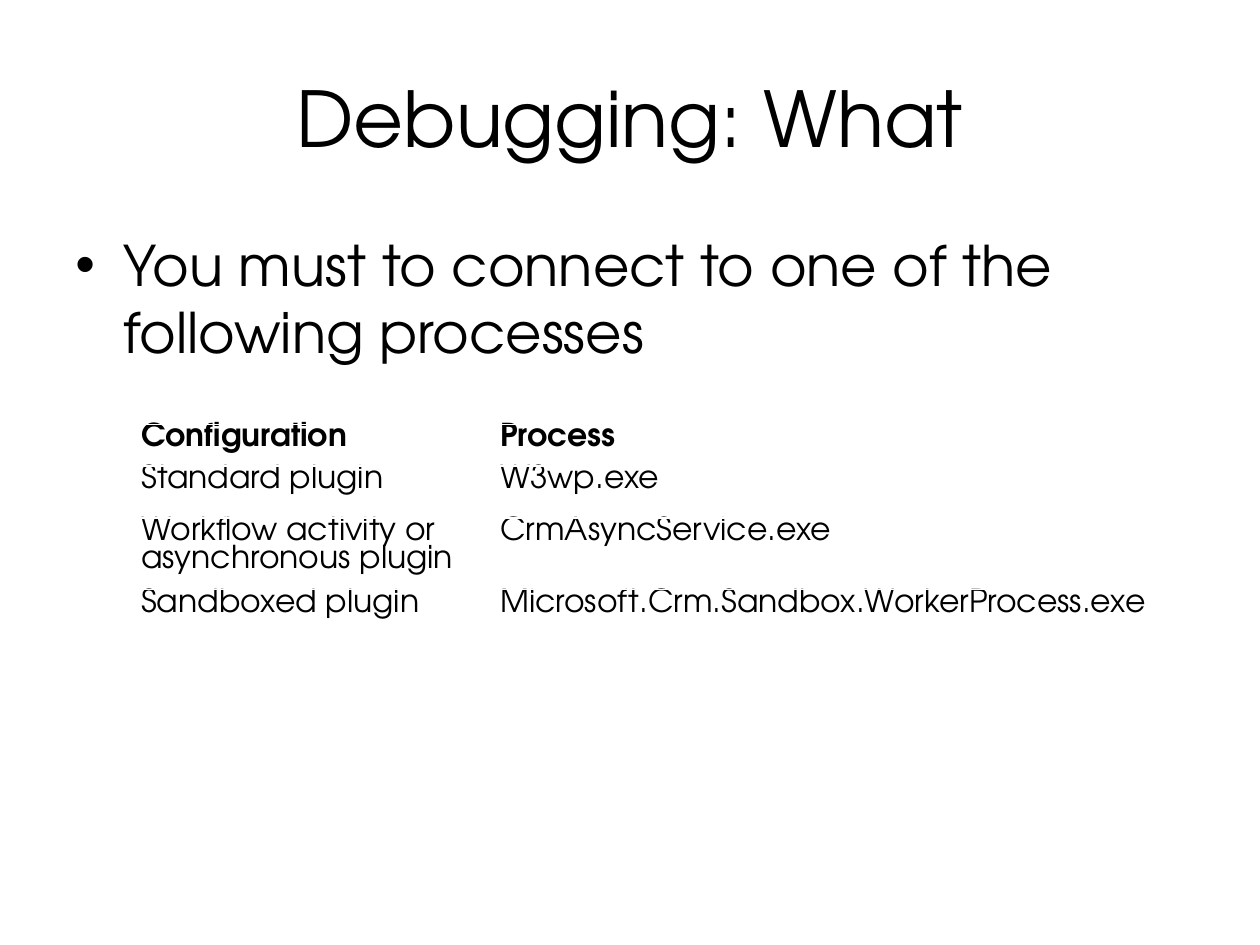
import pptx
import pptx.util
import pptx.dml.color
import pptx.enum.text
import pptx.oxml.ns
from lxml import etree

FONT = "TeX Gyre Adventor"
COLORS = {"text": "000000", "paper": "FFFFFF"}
WIDTH, HEIGHT = pptx.util.Inches(10), pptx.util.Inches(7.5)
TITLE_BOX = (5, 4, 90, 16.67)
BODY_BOX = (5, 23.33, 90, 66)
TABLE_BOX = (10.2, 44.93, 84.8, 26)
COLUMN_PERCENTS = (33.6, 66.4)
HEADER_HEIGHT, ROW_HEIGHT = pptx.util.Inches(0.33), pptx.util.Inches(0.41)
PROCESSES = [
    ("Configuration", "Process"),
    ("Standard plugin", "W3wp.exe"),
    ("Workflow activity or\vasynchronous plugin", "CrmAsyncService.exe"),
    ("Sandboxed plugin", "Microsoft.Crm.Sandbox.WorkerProcess.exe"),
    ("", ""),
]


def scale(box):
    """Turn percentages of the slide into lengths."""
    return [round(part * side / 100) for part, side in zip(box, (WIDTH, HEIGHT) * 2)]


def format_text(para, size, bold=False):
    """Set the font of every run in a paragraph."""
    for font in [para.font] + [span.font for span in para.runs]:
        font.name = FONT
        font.size = pptx.util.Pt(size)
        font.bold = bold
        font.color.rgb = pptx.dml.color.RGBColor.from_string(COLORS["text"])


def add_title(page, box, text):
    """Place the centred slide title."""
    title = page.shapes.title
    title.left, title.top, title.width, title.height = scale(box)
    title.text_frame.text = text
    title.text_frame.vertical_anchor = pptx.enum.text.MSO_ANCHOR.MIDDLE
    para = title.text_frame.paragraphs[0]
    para.alignment = pptx.enum.text.PP_ALIGN.CENTER
    format_text(para, 44)


def add_bullet(page, box, text):
    """Place one bulleted statement with a hanging indent."""
    frame = page.shapes.add_textbox(*scale(box)).text_frame
    frame.word_wrap = True
    frame.margin_top = pptx.util.Inches(0.08)
    frame.text = text
    para = frame.paragraphs[0]
    properties = para._p.get_or_add_pPr()
    indent = pptx.util.Inches(0.38)
    properties.set("marL", str(indent))
    properties.set("indent", str(-indent))
    etree.SubElement(properties, pptx.oxml.ns.qn("a:buFont"), typeface="Arial")
    etree.SubElement(properties, pptx.oxml.ns.qn("a:buChar"), char="•")
    format_text(para, 32)


def add_process_table(page, box, rows):
    """Place the plain table of configurations and their processes."""
    left, top, width, height = scale(box)
    table = page.shapes.add_table(
        len(rows), len(COLUMN_PERCENTS), left, top, width, height
    ).table
    table.first_row = table.horz_banding = False
    for column, percent in zip(table.columns, COLUMN_PERCENTS):
        column.width = round(width * percent / 100)
    for index, texts in enumerate(rows):
        header = index == 0
        table.rows[index].height = HEADER_HEIGHT if header else ROW_HEIGHT
        for cell, text in zip(table.rows[index].cells, texts):
            cell.fill.solid()
            cell.fill.fore_color.rgb = pptx.dml.color.RGBColor.from_string(COLORS["paper"])
            cell.margin_top = cell.margin_bottom = 0
            cell.text_frame.text = text
            para = cell.text_frame.paragraphs[0]
            para.line_spacing = 0.95
            format_text(para, 18, bold=header)


def main():
    """Build and save the slide."""
    deck = pptx.Presentation()
    deck.slide_width, deck.slide_height = WIDTH, HEIGHT
    page = deck.slides.add_slide(deck.slide_layouts.get_by_name("Title Only"))
    add_title(page, TITLE_BOX, "Debugging: What")
    add_bullet(page, BODY_BOX, "You must to connect to one of the following processes")
    add_process_table(page, TABLE_BOX, PROCESSES)
    deck.save("out.pptx")


if __name__ == "__main__":
    main()
